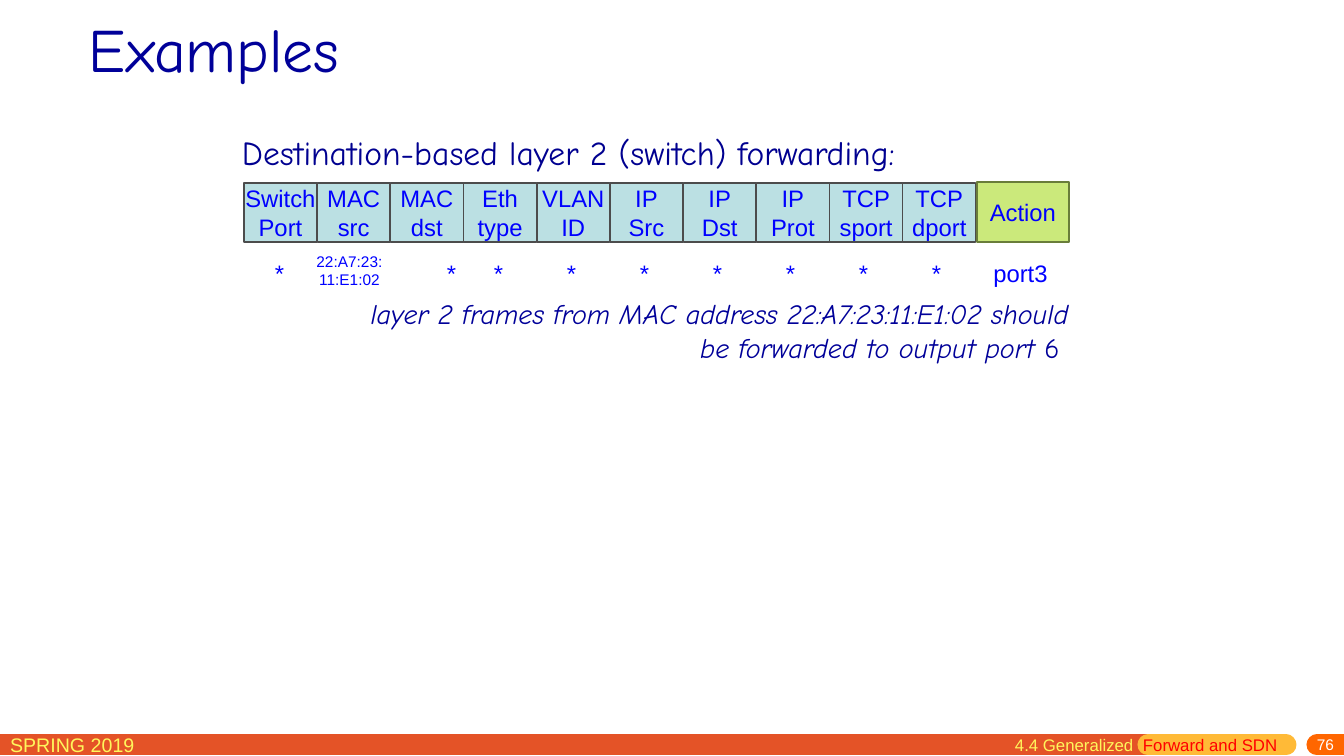
from lxml.etree import SubElement
from pptx import Presentation
from pptx.dml.color import RGBColor
from pptx.enum.shapes import MSO_CONNECTOR, MSO_SHAPE
from pptx.enum.text import MSO_ANCHOR, PP_ALIGN
from pptx.oxml.ns import qn
from pptx.util import Emu, Pt

PX = 914400 / 100.8
WIDTH, HEIGHT = 1344, 756
SANS, COMIC = "Arial", "Comic Neue"
NAVY, BLUE, YELLOW = "000099", "0000FF", "FFF65C"
LEFT, CENTER, RIGHT = PP_ALIGN.LEFT, PP_ALIGN.CENTER, PP_ALIGN.RIGHT

FIELDS = ["Switch\nPort", "MAC\nsrc", "MAC\ndst", "Eth\ntype", "VLAN\nID",
          "IP\nSrc", "IP\nDst", "IP\nProt", "TCP\nsport", "TCP\ndport"]
MATCHES = ["*", "22:A7:23:\n11:E1:02", "*", "*", "*", "*", "*", "*", "*", "*"]
ACTION, ACTION_VALUE = "Action", "port3"
TITLE = "Examples"
HEADING = "Destination-based layer 2 (switch) forwarding:"
EXPLANATION = ("layer 2 frames from MAC address 22:A7:23:11:E1:02 "
               "should be forwarded to output port ")
OUTPUT_PORT = "6 "
TERM, SECTION, TOPIC, PAGE_NUMBER = "SPRING 2019", "4.4 Generalized", "Forward and SDN", "76"

FOOTER_BARS = [(0, 1148, "E45327"), (1148, 1286, "FFBA37"), (1317, WIDTH, "FF6600")]
FOOTER_Y = 745
TABLE_LEFT, FIELD_PITCH, FIELD_WIDTH = 244, 73.2, 73
MATCH_LEFT, MATCH_PITCH = 243, 73
WIDE_MATCH = {2: 125}


def px(length):
    return Emu(round(length * PX))


def color(hex_string):
    return RGBColor.from_string(hex_string)


def style(span, size, font, ink, italic=False):
    span.font.size = Pt(size)
    span.font.name = font
    span.font.color.rgb = color(ink)
    span.font.italic = italic


def fill_text(shape, text, size, font=SANS, ink=BLUE, align=CENTER,
              anchor=MSO_ANCHOR.MIDDLE, insets=(0, 0, 0, 0), italic=False):
    """Write text into a shape; insets are left, top, right, bottom in px."""
    frame = shape.text_frame
    frame.text = text
    frame.word_wrap = True
    frame.vertical_anchor = anchor
    (frame.margin_left, frame.margin_top,
     frame.margin_right, frame.margin_bottom) = map(px, insets)
    for para in frame.paragraphs:
        para.alignment = align
        for span in para.runs:
            style(span, size, font, ink, italic)
    return frame.paragraphs[0]


def add_text(page, bounds, text, size, **options):
    box = page.shapes.add_textbox(*map(px, bounds))
    return fill_text(box, text, size, **options)


def add_run(para, text, *look):
    span = para.add_run()
    span.text = text
    style(span, *look)
    return span


def add_cell(page, bounds, text, fill, line):
    cell = page.shapes.add_shape(MSO_SHAPE.RECTANGLE, *map(px, bounds))
    cell.shadow.inherit = False
    cell.fill.solid()
    cell.fill.fore_color.rgb = color(fill)
    cell.line.color.rgb = color(line)
    cell.line.width = Pt(1)
    fill_text(cell, text, 17)


def add_footer_bar(page, start, end, ink):
    bar = page.shapes.add_connector(
        MSO_CONNECTOR.STRAIGHT, px(start), px(FOOTER_Y), px(end), px(FOOTER_Y))
    bar.line.color.rgb = color(ink)
    bar.line.width = Pt(15)
    bar.line._get_or_add_ln().set("cap", "rnd")
    SubElement(bar._element.spPr, qn("a:effectLst"))


def add_footer(page):
    for bar in FOOTER_BARS:
        add_footer_bar(page, *bar)
    padding = (10, 5, 10, 5)
    add_text(page, (0, 728, 231, 31), TERM, 14, ink=YELLOW, align=LEFT,
             anchor=MSO_ANCHOR.TOP, insets=padding)
    add_text(page, (1083, 738, 261, 18), PAGE_NUMBER, 11, ink="FFFFFF",
             align=RIGHT, insets=(10, 0, 10, 5))
    para = add_text(page, (1005, 730, 285, 31), SECTION, 12, ink=YELLOW,
                    align=LEFT, anchor=MSO_ANCHOR.TOP, insets=padding)
    gap = add_run(para, " ", 12, SANS, YELLOW)
    gap._r.get_or_add_rPr().set("spc", "340")
    add_run(para, TOPIC, 12, SANS, "FF0000")


def add_flow_table(page):
    for column, (field, match) in enumerate(zip(FIELDS, MATCHES)):
        left = TABLE_LEFT + column * FIELD_PITCH
        add_cell(page, (left, 183, FIELD_WIDTH, 59), field, "BBE0E3", "4C4C4C")
        left = MATCH_LEFT + column * MATCH_PITCH
        width = WIDE_MATCH.get(column, FIELD_WIDTH)
        if match == "*":
            add_text(page, (left, 255, width, 35), match, 17)
        else:
            add_text(page, (left - 3, 253, width, 35), match, 11)
    add_cell(page, (977, 182, 92, 60), ACTION, "CBE97B", "697D3A")
    add_text(page, (984, 255, 73, 35), ACTION_VALUE, 17)


def main():
    deck = Presentation()
    deck.slide_width, deck.slide_height = px(WIDTH), px(HEIGHT)
    page = deck.slides.add_slide(deck.slide_layouts[6])
    add_footer(page)
    add_text(page, (79, -15, 309, 126), TITLE, 44, font=COMIC, ink=NAVY,
             align=LEFT, insets=(10, 5, 10, 5))
    add_text(page, (242, 132, 739, 40), HEADING, 24, font=COMIC, ink="000090", align=LEFT)
    add_flow_table(page)
    para = add_text(page, (370, 296, 699, 68), EXPLANATION, 20, font=COMIC,
                    ink=NAVY, align=RIGHT, italic=True)
    add_run(para, OUTPUT_PORT, 20, COMIC, NAVY)
    deck.save("out.pptx")


if __name__ == "__main__":
    main()
